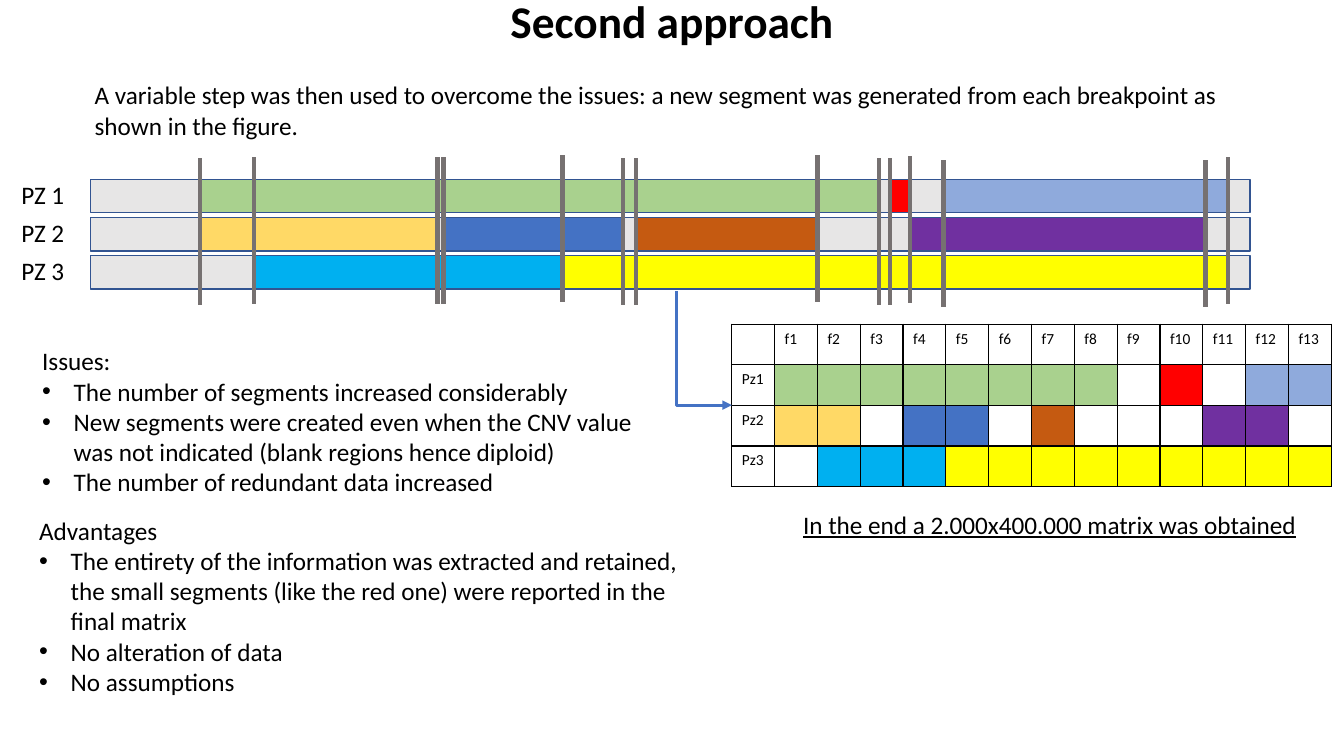
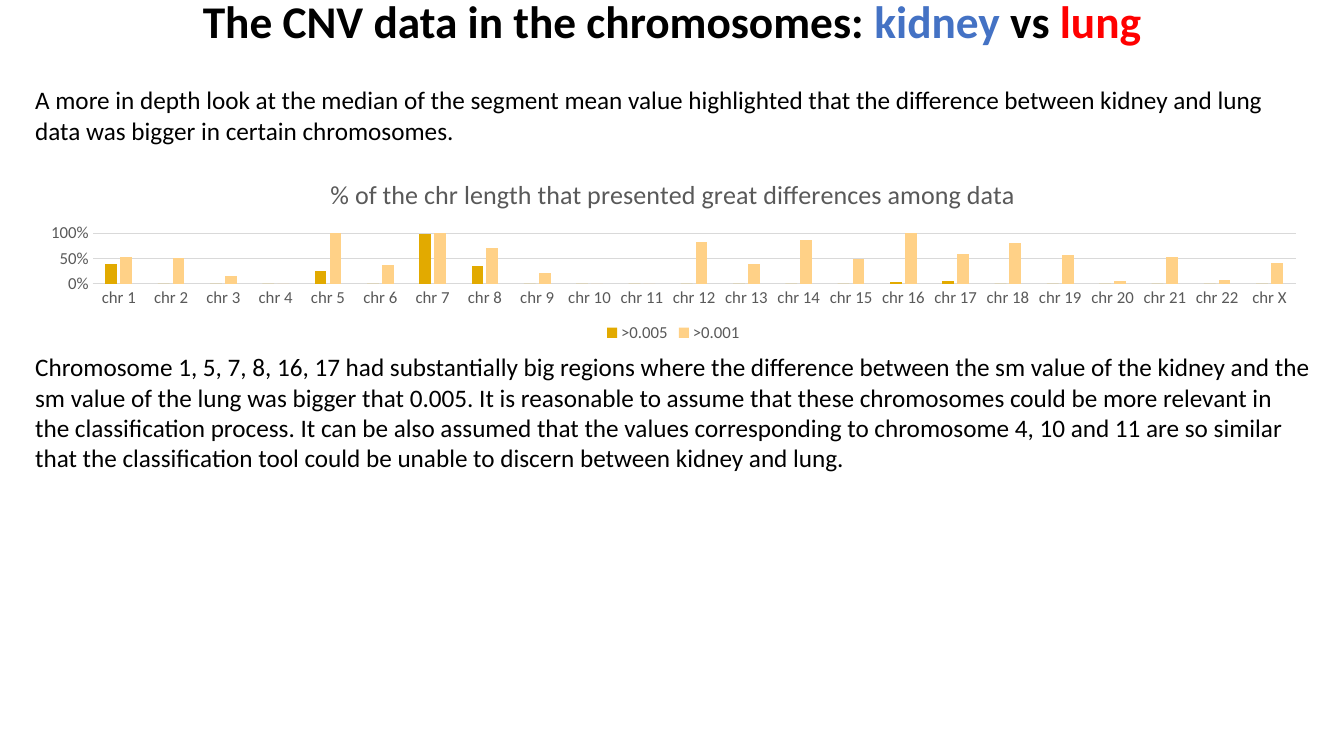
from pptx import Presentation
from pptx import util as u
from pptx.chart.data import CategoryChartData
from pptx.dml.color import RGBColor
from pptx.enum import chart as ch, shapes, text
from pptx.oxml.ns import qn
from lxml import etree

Pt = u.Pt
BLACK, WHITE, BLUE, RED = "000000", "FFFFFF", "4472C4", "FF0000"
GREY, DARK_GREY, GRID = "E7E6E6", "767171", "D9D9D9"
BAR_EDGE, CHART_TEXT = "325491", "595959"
GREEN, PALE_BLUE, GOLD, BROWN = "A9D18E", "8FAADC", "FFD966", "C55A11"
PURPLE, CYAN, YELLOW = "7030A0", "00B0F0", "FFFF00"


def rgb(hex_code):
    return RGBColor.from_string(hex_code)


def child(parent, tag, **attrs):
    return etree.SubElement(parent, qn(tag), attrs)


class Deck:
    """Shared style plus the slide being filled; lengths are in points."""
    font, body, title_size = "Calibri", 18, 32.4

    def __init__(self):
        self.prs = Presentation()
        self.prs.slide_width, self.prs.slide_height = Pt(960), Pt(540)

    def style(self, font, size, color=BLACK, bold=False):
        font.name, font.size, font.bold = self.font, Pt(size), bold
        font.color.rgb = rgb(color)

    def run(self, p, words, size=body, color=BLACK, bold=False, underline=None):
        r = p.add_run()
        r.text = words
        self.style(r.font, size, color, bold)
        r.font.underline = underline

    def slide(self, *title):
        """Start a slide; the title is given as (words, colour) pairs."""
        self.s = self.prs.slides.add_slide(self.prs.slide_layouts[5])
        sp = self.s.shapes.title
        sp.left, sp.top, sp.width, sp.height = Pt(0), Pt(0), Pt(960), Pt(34.6)
        tf = sp.text_frame
        tf.auto_size = text.MSO_AUTO_SIZE.NONE
        tf.vertical_anchor = text.MSO_ANCHOR.MIDDLE
        p = tf.paragraphs[0]
        p.alignment, p.line_spacing = text.PP_ALIGN.CENTER, 0.9
        for words, color in title:
            self.run(p, words, self.title_size, color, True)

    def text(self, x, y, w, h, words, bullets=(), underline=None):
        sp = self.s.shapes.add_textbox(Pt(x), Pt(y), Pt(w), Pt(h))
        tf = sp.text_frame
        tf.word_wrap = True
        tf.auto_size = text.MSO_AUTO_SIZE.SHAPE_TO_FIT_TEXT
        self.run(tf.paragraphs[0], words, underline=underline)
        for bullet in bullets:
            p = tf.add_paragraph()
            pPr = p._p.get_or_add_pPr()
            pPr.set("marL", str(Pt(22.5)))
            pPr.set("indent", str(-Pt(22.5)))
            child(pPr, "a:buFont", typeface="Arial")
            child(pPr, "a:buChar", char="•")
            self.run(p, bullet)

    def bar(self, x, y, w, h, color):
        sp = self.s.shapes.add_shape(shapes.MSO_SHAPE.RECTANGLE, Pt(x), Pt(y), Pt(w), Pt(h))
        sp.shadow.inherit = False
        sp.fill.solid()
        sp.fill.fore_color.rgb = rgb(color)
        sp.line.color.rgb, sp.line.width = rgb(BAR_EDGE), Pt(1)

    def line(self, x1, y1, x2, y2, color, width, kind=shapes.MSO_CONNECTOR.STRAIGHT):
        c = self.s.shapes.add_connector(kind, Pt(x1), Pt(y1), Pt(x2), Pt(y2))
        c.line.color.rgb, c.line.width = rgb(color), Pt(width)
        child(c._element.spPr, "a:effectLst")
        return c

    def down_right_arrow(self, x1, y1, x2, y2, color, width):
        """One-bend arrow, stored as a flipped box turned by 270 degrees."""
        cx, cy, half_w, half_h = (x1 + x2) / 2, (y1 + y2) / 2, (y2 - y1) / 2, (x2 - x1) / 2
        c = self.line(cx - half_w, cy - half_h, cx + half_w, cy + half_h,
                      color, width, shapes.MSO_CONNECTOR.ELBOW)
        spPr = c._element.spPr
        spPr.find(qn("a:prstGeom")).set("prst", "bentConnector2")
        xfrm = spPr.find(qn("a:xfrm"))
        xfrm.set("rot", "16200000")
        xfrm.set("flipH", "1")
        child(spPr.find(qn("a:ln")), "a:tailEnd", type="triangle")

    def table(self, x, y, col_w, row_h, labels, fills):
        """Grid of labels, with fills keyed by (row, column)."""
        rows, cols = len(labels), len(labels[0])
        t = self.s.shapes.add_table(rows, cols, Pt(x), Pt(y),
                                    Pt(col_w * cols), Pt(row_h * rows)).table
        t.first_row = t.horz_banding = False
        for i, row in enumerate(labels):
            for j, label in enumerate(row):
                cell = t.cell(i, j)
                tcPr = cell._tc.get_or_add_tcPr()
                for side in ("L", "R", "T", "B"):
                    ln = child(tcPr, "a:ln" + side, w=str(Pt(1)))
                    child(child(ln, "a:solidFill"), "a:srgbClr", val=BLACK)
                cell.fill.solid()
                cell.fill.fore_color.rgb = rgb(fills.get((i, j), WHITE))
                if label:
                    self.run(cell.text_frame.paragraphs[0], label, 11)

    def columns(self, x, y, w, h, title, cats, series):
        """Clustered percentage columns; series holds (name, colour, values)."""
        data = CategoryChartData(number_format="0%")
        data.categories = cats
        for name, _, values in series:
            data.add_series(name, values)
        chart = self.s.shapes.add_chart(ch.XL_CHART_TYPE.COLUMN_CLUSTERED,
                                        Pt(x), Pt(y), Pt(w), Pt(h), data).chart
        self.style(chart.font, 12, CHART_TEXT)
        chart.has_title = True
        self.run(chart.chart_title.text_frame.paragraphs[0], title, 18.6, CHART_TEXT)
        chart.chart_title.include_in_layout = False
        chart.has_legend = True
        chart.legend.position = ch.XL_LEGEND_POSITION.BOTTOM
        chart.legend.include_in_layout = False
        plot = chart.plots[0]
        plot.gap_width, plot.overlap, plot.vary_by_categories = 219, -27, False
        for ser, (_, color, _) in zip(plot.series, series):
            ser.format.fill.solid()
            ser.format.fill.fore_color.rgb = rgb(color)
        cat, val = chart.category_axis, chart.value_axis
        for axis in (cat, val):
            axis.major_tick_mark = axis.minor_tick_mark = ch.XL_TICK_MARK.NONE
            self.style(axis.tick_labels.font, 12, CHART_TEXT)
        val.minimum_scale, val.maximum_scale, val.major_unit = 0, 1, 0.5
        val.tick_labels.number_format = "0%"
        val.tick_labels.number_format_is_linked = False
        val.format.line.fill.background()
        for line in (cat.format.line, val.major_gridlines.format.line):
            line.color.rgb, line.width = rgb(GRID), Pt(0.75)


# Breakpoints as (x, top); feature n lies between breakpoints n and n + 1.
BREAKS = [(142.6, 113), (181.4, 112.3), (312.5, 112.3), (316.8, 112.3), (401.8, 111),
          (445, 113), (454.3, 113), (583.9, 111), (627.8, 113), (635.8, 113),
          (650.2, 111.6), (673.9, 114.5), (861.1, 114.5), (877, 112.3)]
# Each patient's segments as (first feature, last feature, colour).
PATIENTS = [
    [(1, 8, GREEN), (10, 10, RED), (12, 13, PALE_BLUE)],
    [(1, 2, GOLD), (4, 5, BLUE), (7, 7, BROWN), (11, 12, PURPLE)],
    [(2, 4, CYAN), (5, 13, YELLOW)],
]


def second_approach(d):
    d.slide(("Second approach", BLACK))
    fills = {}
    for n, segments in enumerate(PATIENTS, 1):
        y = 101 + 27.2 * n
        d.bar(64.8, y, 828, 23.8, GREY)
        for first, last, color in segments:
            left, right = BREAKS[first - 1][0], BREAKS[last][0]
            d.bar(left, y, right - left, 23.8, color)
            fills.update({(n, f): color for f in range(first, last + 1)})
        d.text(8.2, y - 3.6, 48.2, 28.8, f"PZ {n}")
    for x, top in BREAKS:
        d.line(x, top, x, top + 105, DARK_GREY, 3)
    d.text(60.5, 53.3, 838.8, 51.1,
           "A variable step was then used to overcome the issues: a new segment was "
           "generated from each breakpoint as shown in the figure.")
    d.text(23, 243.4, 457.2, 116.6, "Issues:", [
        "The number of segments increased considerably",
        "New segments were created even when the CNV value was not indicated "
        "(blank regions hence diploid)",
        "The number of redundant data increased"])
    features = len(BREAKS) - 1
    labels = [[""] + [f"f{f}" for f in range(1, features + 1)]]
    labels += [[f"Pz{n}"] + [""] * features for n in range(1, len(PATIENTS) + 1)]
    d.table(522.7, 231.6, 30.6, 29, labels, fills)
    d.down_right_arrow(483.1, 208.1, 522.7, 289.4, BLUE, 2.25)
    d.text(20.9, 364.3, 473.8, 138.2, "Advantages", [
        "The entirety of the information was extracted and retained, the small segments "
        "(like the red one) were reported in the final matrix",
        "No alteration of data",
        "No assumptions"])
    d.text(566.6, 360, 368, 28.8, "In the end a 2.000x400.000 matrix was obtained",
           underline=True)


def kidney_vs_lung(d):
    d.slide(("The CNV data in the chromosomes: ", BLACK), ("kidney", BLUE),
            (" vs ", BLACK), ("lung", RED))
    x, w = 18, 926
    d.text(x, 56.9, w, 51.1,
           "A more in depth look at the median of the segment mean value highlighted that "
           "the difference between kidney and lung data was bigger in certain chromosomes.")
    d.columns(x, 115.9, w, 131.8,
              "% of the chr length that presented great differences among data",
              [f"chr {c}" for c in [*range(1, 23), "X"]],
              [(">0.005", "E2AA00",
                [0.4, 0, 0, 0, 0.25, 0, 0.98, 0.35, 0, 0, 0, 0, 0, 0, 0, 0.03, 0.05,
                 0, 0, 0, 0, 0, 0]),
               (">0.001", "FFD187",
                [0.52, 0.5, 0.16, 0, 1, 0.38, 1, 0.71, 0.21, 0, 0, 0.82, 0.4, 0.86, 0.48,
                 1, 0.59, 0.81, 0.56, 0.06, 0.52, 0.08, 0.42])])
    d.text(x, 247.7, w, 94.3,
           "Chromosome 1, 5, 7, 8, 16, 17 had substantially big regions where the difference "
           "between the sm value of the kidney and the sm value of the lung was bigger that "
           "0.005. It is reasonable to assume that these chromosomes could be more relevant "
           "in the classification process. It can be also assumed that the values "
           "corresponding to chromosome 4, 10 and 11 are so similar that the classification "
           "tool could be unable to discern between kidney and lung.")


def main():
    d = Deck()
    second_approach(d)
    kidney_vs_lung(d)
    d.prs.save("out.pptx")


if __name__ == "__main__":
    main()
